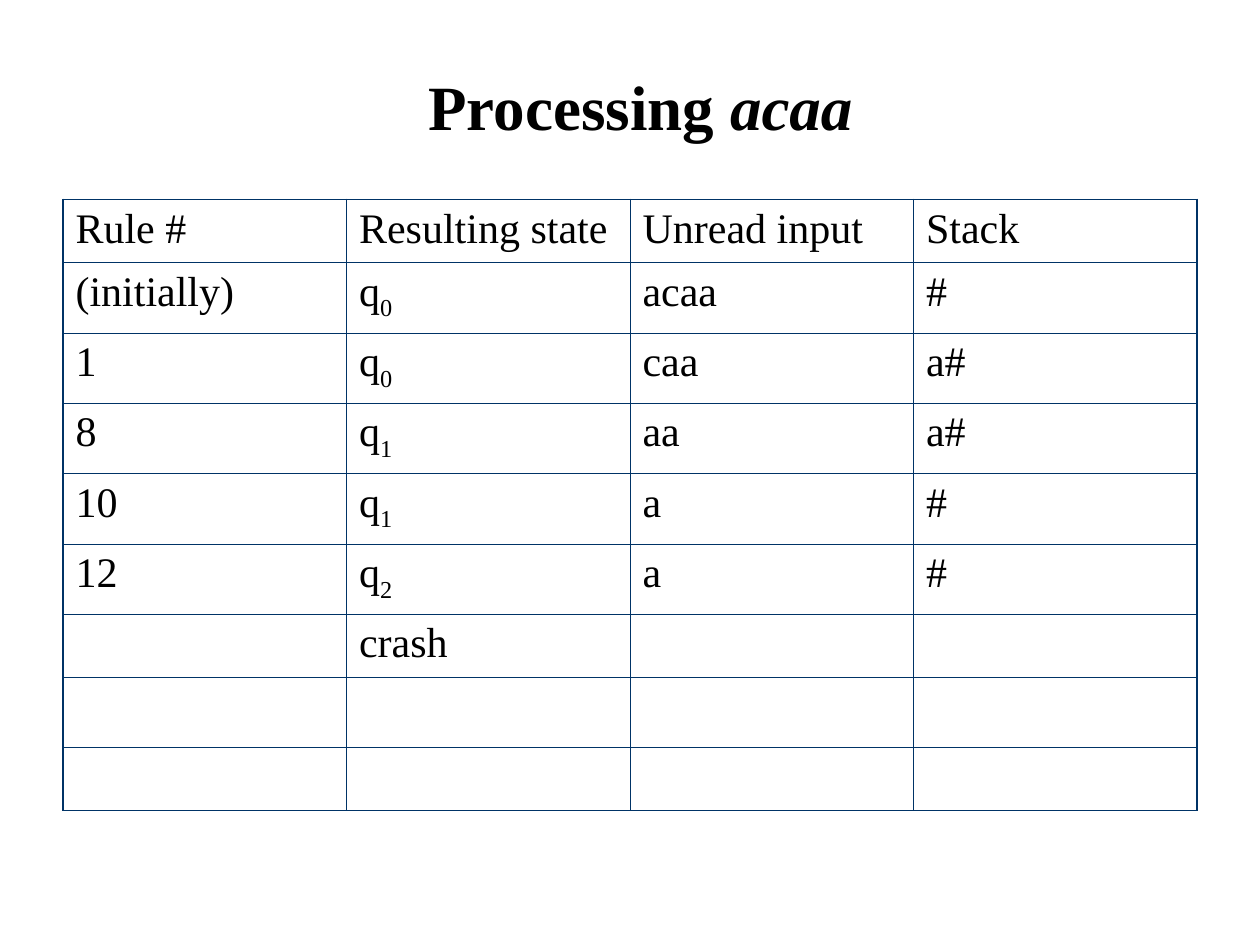
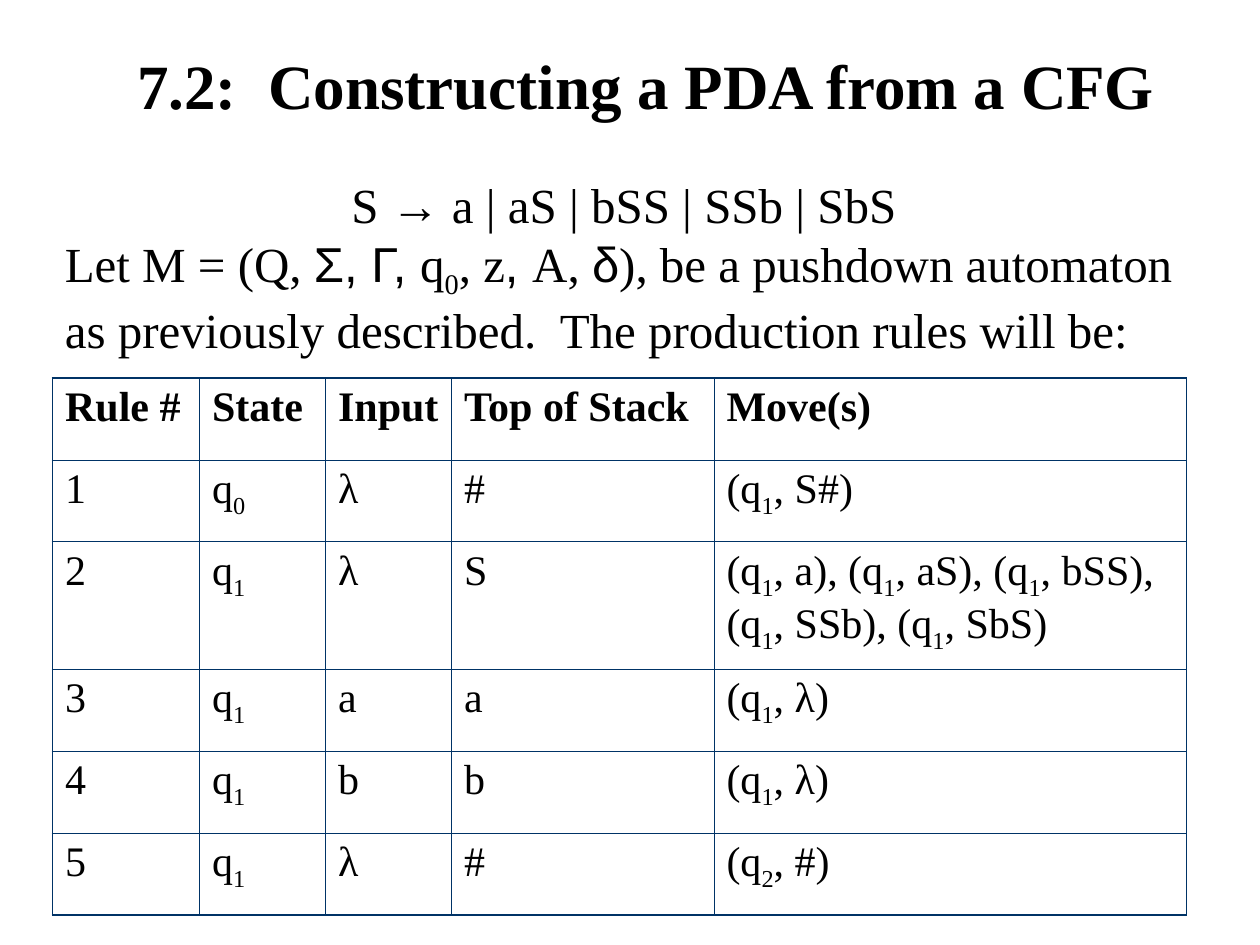
from dataclasses import dataclass
from itertools import product

from lxml.etree import SubElement
from pptx import Presentation
from pptx.dml.color import RGBColor
from pptx.enum.text import MSO_ANCHOR as Anchor, PP_ALIGN as Align
from pptx.oxml.ns import qn
from pptx.util import Emu, Inches, Pt

# Shared grid: 120 columns by 90 rows, twelve to the inch
SLIDE_WIDTH, SLIDE_HEIGHT = Inches(10), Inches(7.5)
COLUMNS, ROWS = 120, 90

# Shared colours and fonts
INK = RGBColor(0x00, 0x00, 0x00)
RULE_LINE = RGBColor(0x00, 0x33, 0x66)
SERIF, GREEK = "Times New Roman", "Arial"
THIN, THICK = Pt(0.45), Pt(1.08)

# Inline marks switch a format on and off
SUBSCRIPT, ITALIC, GREEK_FONT = "_", "*", "~"

TITLE_FONT = {"size": Pt(36), "bold": True}
BODY_FONT = {"size": Pt(28), "bold": False}
HEADER_FONT = {"size": Pt(24), "bold": True}
CELL_FONT = {"size": Pt(24), "bold": False}


@dataclass(frozen=True)
class Area:
    """A place on the grid, in columns and rows."""
    left: float
    top: float
    width: float
    height: float

    def lengths(self) -> tuple[Emu, Emu, Emu, Emu]:
        return across(self.left), down(self.top), across(self.width), down(self.height)


@dataclass(frozen=True)
class RuleTable:
    left: float
    top: float
    widths: list[float]
    heights: list[float]
    entries: list[list[str]]
    header_font: dict


def across(columns: float) -> Emu:
    return Emu(round(SLIDE_WIDTH * columns / COLUMNS))


def down(rows: float) -> Emu:
    return Emu(round(SLIDE_HEIGHT * rows / ROWS))


def apply(target, formats: dict) -> None:
    for name, value in formats.items():
        setattr(target, name, value)


def write(paragraph, marked: str, font: dict, layout: dict) -> None:
    """Write marked text as runs, one per change of format."""
    apply(paragraph, layout)
    active = set()

    def add_run(words: str) -> None:
        if not words:
            return
        run = paragraph.add_run()
        run.text = words
        name = GREEK if GREEK_FONT in active else SERIF
        apply(run.font, font | {"name": name, "italic": ITALIC in active})
        run.font.color.rgb = INK
        if SUBSCRIPT in active:
            run.font._element.set("baseline", "-25000")

    words = ""
    for letter in marked:
        if letter in (SUBSCRIPT, ITALIC, GREEK_FONT):
            add_run(words)
            words = ""
            active ^= {letter}
        else:
            words += letter
    add_run(words)


def add_titled_slide(deck, heading: str, area: Area):
    slide = deck.slides.add_slide(deck.slide_layouts[5])
    title = slide.shapes.title
    apply(title, dict(zip(("left", "top", "width", "height"), area.lengths())))
    apply(title.text_frame, {"vertical_anchor": Anchor.MIDDLE, "word_wrap": True})
    write(title.text_frame.paragraphs[0], heading, TITLE_FONT,
          {"alignment": Align.CENTER, "line_spacing": 0.9})
    return slide


def add_statement(slide, area: Area, lines: list[tuple[str, Align]]) -> None:
    frame = slide.shapes.add_textbox(*area.lengths()).text_frame
    frame.word_wrap = True
    for index, (line, alignment) in enumerate(lines):
        paragraph = frame.add_paragraph() if index else frame.paragraphs[0]
        write(paragraph, line, BODY_FONT, {"alignment": alignment})


def draw_borders(cell, outer_edges: dict[str, bool]) -> None:
    properties = cell._tc.get_or_add_tcPr()
    for position, (edge, is_outer) in enumerate(outer_edges.items()):
        line = SubElement(properties, qn(f"a:ln{edge}"), w=str(THICK if is_outer else THIN))
        fill = SubElement(line, qn("a:solidFill"))
        SubElement(fill, qn("a:srgbClr"), val=str(RULE_LINE))
        properties.insert(position, line)


def add_rule_table(slide, rules: RuleTable) -> None:
    row_count, column_count = len(rules.heights), len(rules.widths)
    area = Area(rules.left, rules.top, sum(rules.widths), sum(rules.heights))
    table = slide.shapes.add_table(row_count, column_count, *area.lengths()).table
    apply(table, {"first_row": False, "horz_banding": False})
    for column, width in zip(table.columns, rules.widths):
        column.width = across(width)
    for row, height in zip(table.rows, rules.heights):
        row.height = down(height)

    for r, c in product(range(row_count), range(column_count)):
        cell = table.cell(r, c)
        cell.fill.background()
        write(cell.text_frame.paragraphs[0], rules.entries[r][c],
              CELL_FONT if r else rules.header_font, {"space_before": Pt(6)})
        draw_borders(cell, {"L": c == 0, "R": c == column_count - 1,
                            "T": r == 0, "B": r == row_count - 1})


# Steps of the run on the input acaa
PROCESSING_STEPS = RuleTable(
    left=6, top=19, widths=[27] * 4,
    heights=[6] + [6.7] * 5 + [6, 6.7, 6],
    entries=[
        ["Rule #", "Resulting state", "Unread input", "Stack"],
        ["(initially)", "q_0_", "acaa", "#"],
        ["1", "q_0_", "caa", "a#"],
        ["8", "q_1_", "aa", "a#"],
        ["10", "q_1_", "a", "#"],
        ["12", "q_2_", "a", "#"],
        ["", "crash", "", ""],
        [""] * 4,
        [""] * 4,
    ],
    header_font=CELL_FONT,
)

# Production rules of the pushdown automaton
GRAMMAR_STATEMENT = [
    ("S ~→~ a | aS | bSS | SSb | SbS ", Align.CENTER),
    ("Let M = (Q, ~Σ, Γ, ~q_0_, z~, ~A, ~δ~), be a pushdown automaton "
     "as previously described.  The production rules will be:", Align.LEFT),
]
PRODUCTION_RULES = RuleTable(
    left=5, top=36, widths=[14, 12, 12, 25, 45],
    heights=[7.8, 7.8, 12.1, 7.8, 7.8, 7.8],
    entries=[
        ["Rule #", "State", "Input", "Top of Stack", "Move(s)"],
        ["1", "q_0_", "λ", "#", "(q_1_, S#)"],
        ["2", "q_1_", "λ", "S",
         "(q_1_, a), (q_1_, aS), (q_1_, bSS), (q_1_, SSb), (q_1_, SbS)"],
        ["3", "q_1_", "a", "a", "(q_1_, λ)"],
        ["4", "q_1_", "b", "b", "(q_1_, λ)"],
        ["5", "q_1_", "λ", "#", "(q_2_, #)"],
    ],
    header_font=HEADER_FONT,
)


def main() -> None:
    deck = Presentation()
    apply(deck, {"slide_width": SLIDE_WIDTH, "slide_height": SLIDE_HEIGHT})

    # Processing a string
    processing = add_titled_slide(deck, "Processing *acaa*", Area(10, 3, 102, 15))
    add_rule_table(processing, PROCESSING_STEPS)

    # From grammar to automaton
    construction = add_titled_slide(
        deck, "7.2:  Constructing a PDA from a CFG", Area(3, 2, 117, 13))
    add_statement(construction, Area(5, 16, 110, 24.4), GRAMMAR_STATEMENT)
    add_rule_table(construction, PRODUCTION_RULES)

    deck.save("out.pptx")


if __name__ == "__main__":
    main()
